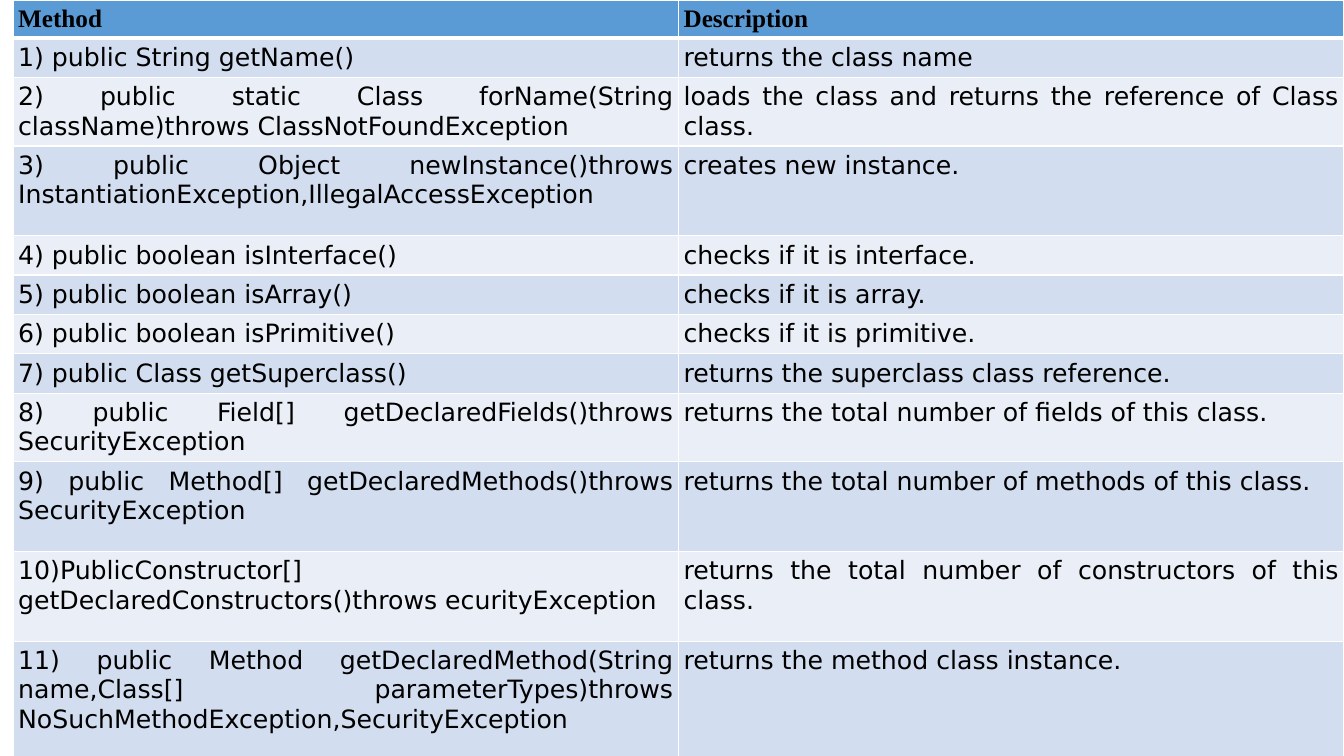
from lxml.etree import SubElement
from pptx import Presentation
from pptx.dml.color import RGBColor
from pptx.enum.text import PP_ALIGN
from pptx.oxml.ns import qn
from pptx.util import Pt

PX = 9144  # 100 px to the inch
INSET = 5
WHITE, BLACK = "FFFFFF", "000000"
HEADER_FILL = "5B9BD5"
BAND_FILLS = ("D2DEEF", "EAEFF7")

HEADER_FONT = {"name": "Times New Roman", "size": Pt(18), "bold": True}
BODY_FONT = {"name": "DejaVu Sans", "size": Pt(18), "bold": False}
CELL_INSETS = {f"margin_{side}": INSET * PX
               for side in ("left", "top", "right", "bottom")}

# Method, description, row height in px
HEADER = ("Method", "Description", 36)
METHODS = [
    ("1) public String getName()", "returns the class name", 36),
    ("2) public static Class forName(String className)throws ClassNotFoundException",
     "loads the class and returns the reference of Class class.", 62),
    ("3) public Object newInstance()throws InstantiationException,IllegalAccessException",
     "creates new instance.", 89),
    ("4) public boolean isInterface()", "checks if it is interface.", 36),
    ("5) public boolean isArray()", "checks if it is array.", 36),
    ("6) public boolean isPrimitive()", "checks if it is primitive.", 36),
    ("7) public Class getSuperclass()", "returns the superclass class reference.", 36),
    ("8) public Field[] getDeclaredFields()throws SecurityException",
     "returns the total number of fields of this class.", 62),
    ("9) public Method[] getDeclaredMethods()throws SecurityException",
     "returns the total number of methods of this class.", 89),
    ("10)PublicConstructor[] getDeclaredConstructors()throws ecurityException",
     "returns the total number of constructors of this class.", 89),
    ("11) public Method getDeclaredMethod(String name,Class[] parameterTypes)throws "
     "NoSuchMethodException,SecurityException",
     "returns the method class instance.", 115),
]


def paint(color_format, hex_color):
    color_format.rgb = RGBColor.from_string(hex_color)


def apply(target, values):
    for attribute, value in values.items():
        setattr(target, attribute, value)


def draw_borders(cell, top, bottom):
    """White cell borders; top and bottom widths are in points."""
    properties = cell._tc.get_or_add_tcPr()
    widths = {"a:lnL": 1, "a:lnR": 1, "a:lnT": top, "a:lnB": bottom}
    for position, (tag, width) in enumerate(widths.items()):
        border = SubElement(properties, qn(tag), w=str(Pt(width)))
        fill = SubElement(border, qn("a:solidFill"))
        SubElement(fill, qn("a:srgbClr"), val=WHITE)
        properties.insert(position, border)


def fill_cell(cell, wording, fill, font, alignment):
    apply(cell, CELL_INSETS)
    cell.fill.solid()
    paint(cell.fill.fore_color, fill)
    paragraph = cell.text_frame.paragraphs[0]
    paragraph.alignment = alignment
    run = paragraph.add_run()
    run.text = wording
    apply(run.font, font)
    paint(run.font.color, BLACK)


def add_method_table(slide, left, top, width, height):
    entries = [HEADER, *METHODS]
    frame = slide.shapes.add_table(len(entries), 2, left * PX, top * PX,
                                   width * PX, height * PX)
    method_table = frame.table
    for column in method_table.columns:
        column.width = width * PX // 2

    for index, (method, description, row_height) in enumerate(entries):
        method_table.rows[index].height = row_height * PX
        is_header = index == 0
        fill = HEADER_FILL if is_header else BAND_FILLS[(index - 1) % 2]
        font = HEADER_FONT if is_header else BODY_FONT
        alignment = PP_ALIGN.LEFT if is_header else PP_ALIGN.JUSTIFY
        for column_index, wording in enumerate((method, description)):
            cell = method_table.cell(index, column_index)
            fill_cell(cell, wording, fill, font, alignment)
            # The line below the header is heavier
            draw_borders(cell, top=3 if index == 1 else 1,
                         bottom=3 if is_header else 1)
    frame.height = height * PX


def main():
    presentation = Presentation()
    presentation.slide_width = 1333 * PX
    presentation.slide_height = 750 * PX
    slide = presentation.slides.add_slide(presentation.slide_layouts[6])
    add_method_table(slide, 13, 0, 1320, 764)
    presentation.save("out.pptx")


if __name__ == "__main__":
    main()
